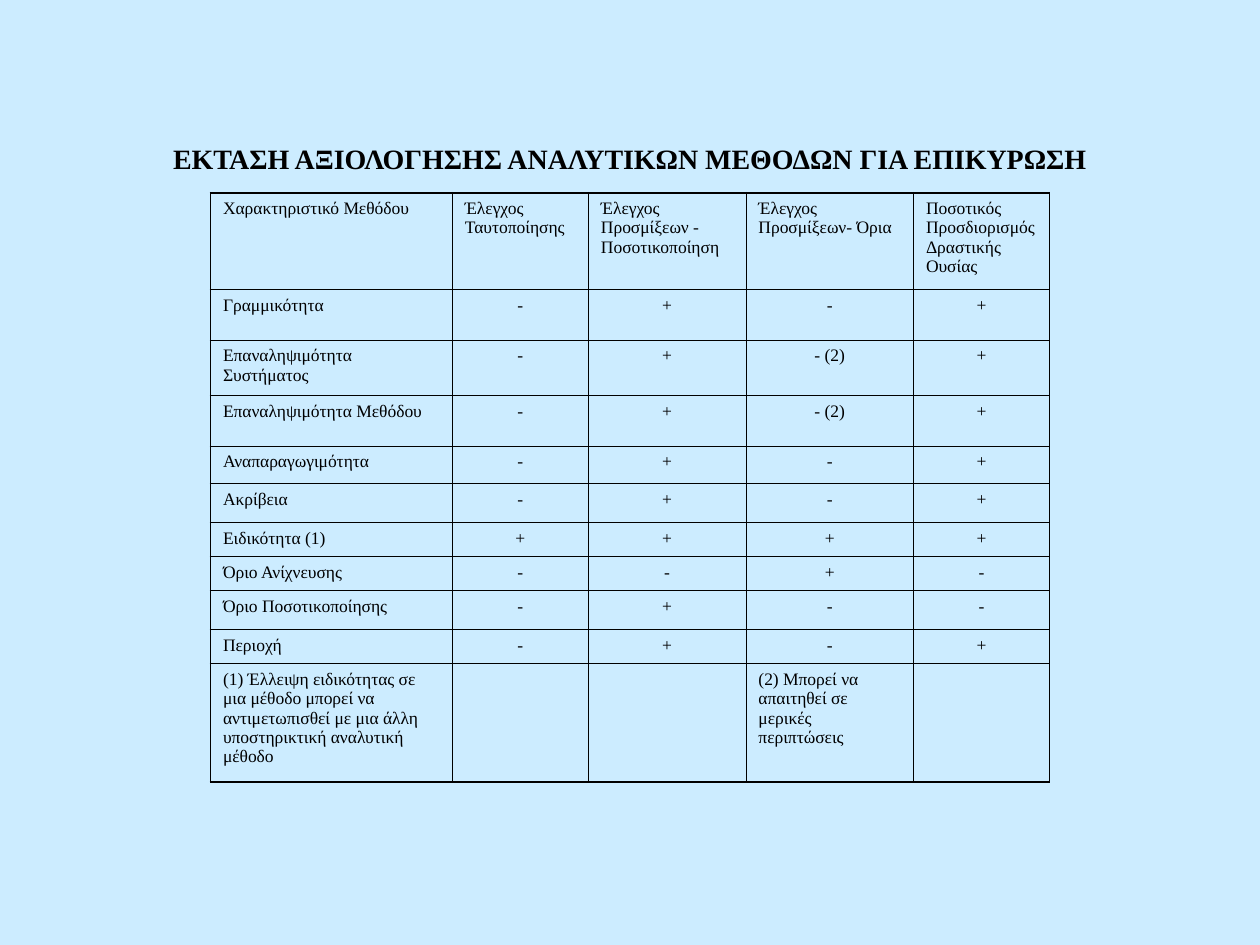
from pptx import Presentation
from pptx.dml.color import RGBColor
from pptx.enum.text import MSO_ANCHOR, MSO_AUTO_SIZE, PP_ALIGN
from pptx.oxml.ns import qn
from pptx.util import Inches, Pt
from lxml import etree

SKY = RGBColor(0xCC, 0xEC, 0xFF)
BLACK = RGBColor(0x00, 0x00, 0x00)
FONT = "Times New Roman"
LEFT, CENTER = PP_ALIGN.LEFT, PP_ALIGN.CENTER
MIDDLE = MSO_ANCHOR.MIDDLE
NO_AUTOFIT = MSO_AUTO_SIZE.NONE
OUTER, INNER = Pt(1.08), Pt(0.45)

COLUMN_WIDTHS = [1.92, 1.08, 1.25, 1.33, 1.08]
ROW_HEIGHTS = [0.77, 0.4, 0.44, 0.4, 0.3, 0.31, 0.27, 0.27, 0.31, 0.27, 0.94]
ROWS = [
    ["Χαρακτηριστικό Μεθόδου", "Έλεγχος Ταυτοποίησης",
     "Έλεγχος Προσμίξεων - Ποσοτικοποίηση", "Έλεγχος Προσμίξεων- Όρια",
     "Ποσοτικός Προσδιορισμός Δραστικής Ουσίας"],
    ["Γραμμικότητα", "-", "+", "-", "+"],
    ["Επαναληψιμότητα Συστήματος", "-", "+", "- (2)", "+"],
    ["Επαναληψιμότητα Μεθόδου", "-", "+", "- (2)", "+"],
    ["Αναπαραγωγιμότητα", "-", "+", "-", "+"],
    ["Ακρίβεια", "-", "+", "-", "+"],
    ["Ειδικότητα (1)", "+", "+", "+", "+"],
    ["Όριο Ανίχνευσης", "-", "-", "+", "-"],
    ["Όριο Ποσοτικοποίησης", "-", "+", "-", "-"],
    ["Περιοχή", "-", "+", "-", "+"],
    ["(1) Έλλειψη ειδικότητας σε μια μέθοδο μπορεί να αντιμετωπισθεί με "
     "μια άλλη υποστηρικτική αναλυτική μέθοδο", "", "",
     "(2) Μπορεί να απαιτηθεί σε μερικές περιπτώσεις", ""],
]
LAST_ROW, LAST_COLUMN = len(ROWS) - 1, len(COLUMN_WIDTHS) - 1


def style_paragraph(para, size, bold, alignment):
    para.alignment = alignment
    para.font.name = FONT
    para.font.size = Pt(size)
    para.font.bold = bold
    para.font.color.rgb = BLACK


def add_border(cell, side, width):
    line = etree.SubElement(cell._tc.get_or_add_tcPr(), qn(f"a:ln{side}"), w=str(width))
    fill = etree.SubElement(line, qn("a:solidFill"))
    etree.SubElement(fill, qn("a:srgbClr"), val=str(BLACK))


deck = Presentation()
deck.slide_width, deck.slide_height = Inches(10), Inches(7.5)
slide = deck.slides.add_slide(deck.slide_layouts[5])
slide.background.fill.solid()
slide.background.fill.fore_color.rgb = SKY

title = slide.shapes.title
title.left, title.top = Inches(0.75), Inches(0.5)
title.width, title.height = Inches(8.5), Inches(1.25)
title_frame = title.text_frame
title_frame.text = "ΕΚΤΑΣΗ ΑΞΙΟΛΟΓΗΣΗΣ ΑΝΑΛΥΤΙΚΩΝ ΜΕΘΟΔΩΝ ΓΙΑ ΕΠΙΚΥΡΩΣΗ"
title_frame.auto_size = NO_AUTOFIT
title_frame.vertical_anchor = MIDDLE
title_frame.margin_top = Inches(0.31)
style_paragraph(title_frame.paragraphs[0], 16, True, CENTER)

table = slide.shapes.add_table(
    len(ROWS), len(COLUMN_WIDTHS), Inches(1.67), Inches(1.53),
    Inches(sum(COLUMN_WIDTHS)), Inches(sum(ROW_HEIGHTS))).table
table.first_row = False
table.horz_banding = False
for column, width in zip(table.columns, COLUMN_WIDTHS):
    column.width = Inches(width)
for row, height in zip(table.rows, ROW_HEIGHTS):
    row.height = Inches(height)

for r, texts in enumerate(ROWS):
    for c, text in enumerate(texts):
        cell = table.cell(r, c)
        cell.text = text
        is_mark = c > 0 and 0 < r < LAST_ROW
        style_paragraph(cell.text_frame.paragraphs[0], 10, False,
                        CENTER if is_mark else LEFT)
        at_edge = {"L": c == 0, "R": c == LAST_COLUMN, "T": r == 0, "B": r == LAST_ROW}
        for side, is_outer in at_edge.items():
            add_border(cell, side, OUTER if is_outer else INNER)
        cell.fill.background()

deck.save("out.pptx")
